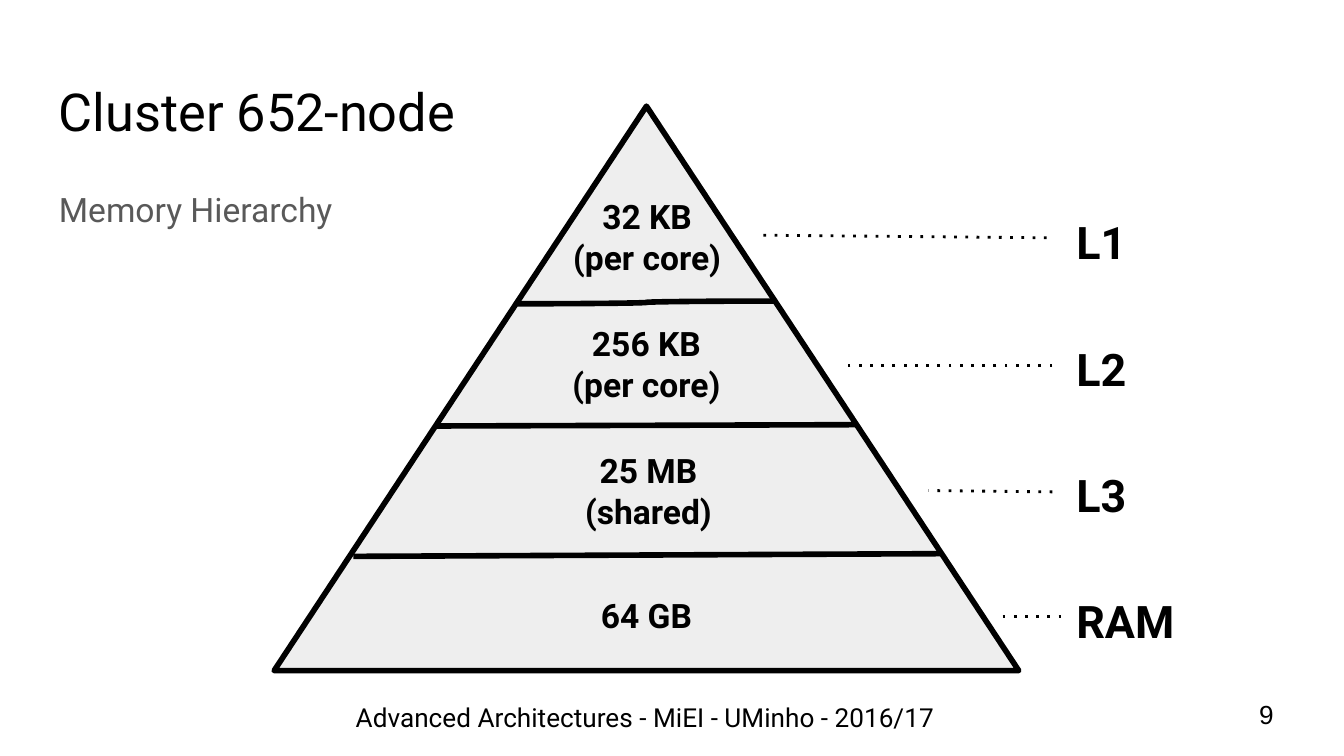
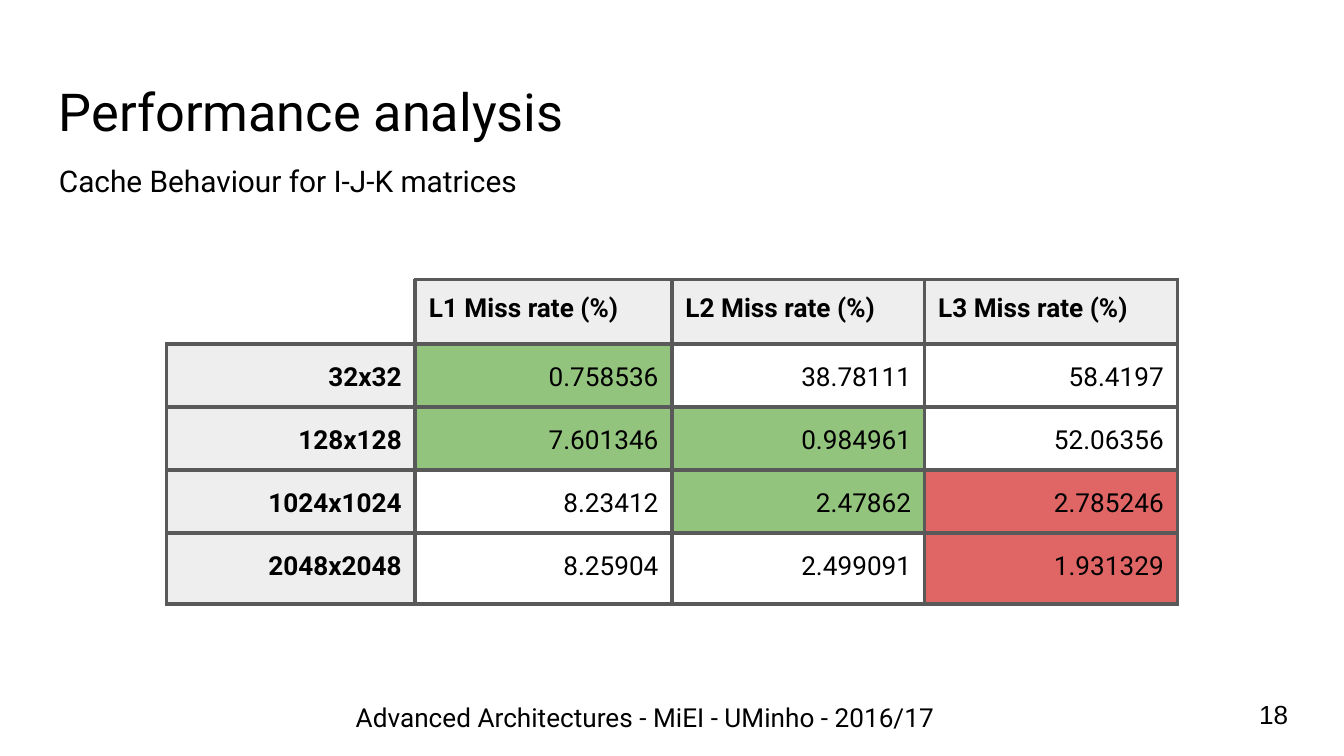
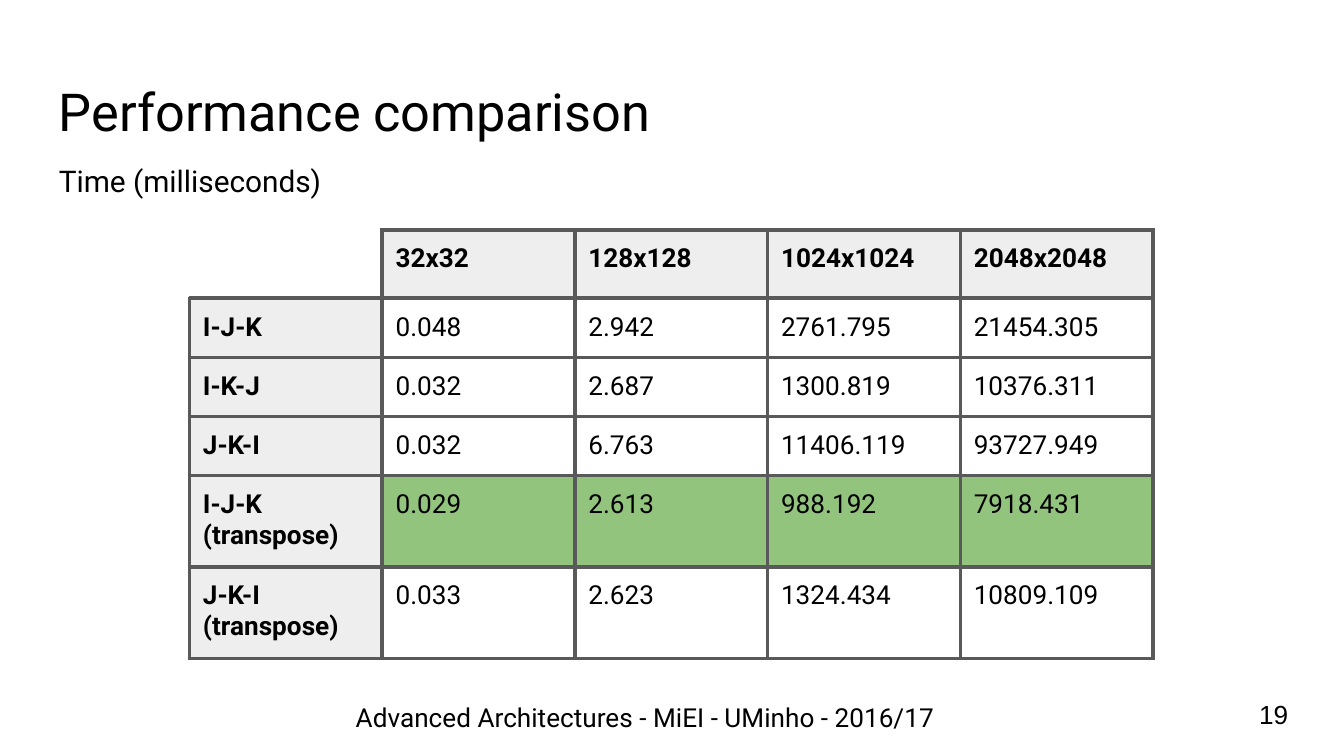
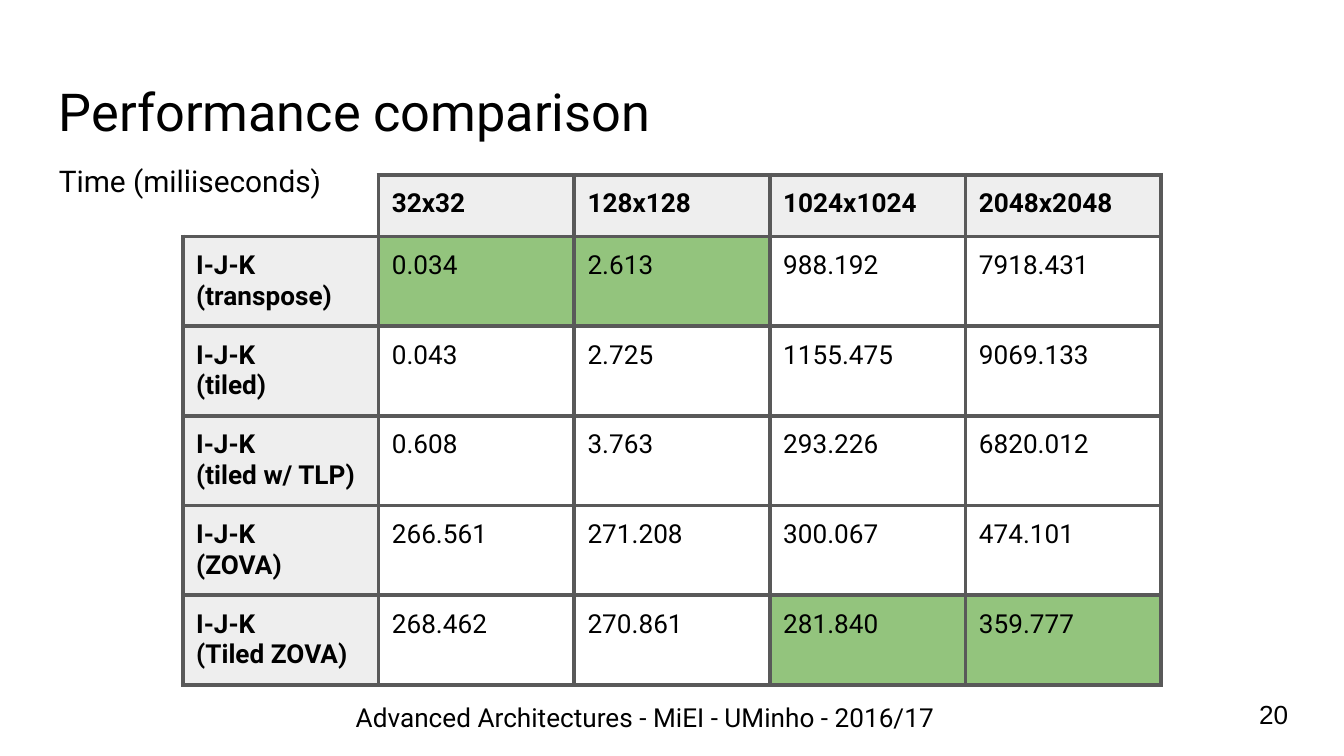
from lxml import etree
from pptx import Presentation, util as u
from pptx.dml.color import RGBColor
from pptx.enum import dml, shapes, text
from pptx.oxml.ns import qn

BLACK, GREY, PALE = "000000", "595959", "EEEEEE"
GREEN, RED = "93C47D", "E06666"
FOOTER = "Advanced Architectures - MiEI - UMinho - 2016/17"
LEFT, CENTER, RIGHT = text.PP_ALIGN.LEFT, text.PP_ALIGN.CENTER, text.PP_ALIGN.RIGHT
TOP, MIDDLE = text.MSO_ANCHOR.TOP, text.MSO_ANCHOR.MIDDLE
color = RGBColor.from_string

deck = Presentation()
deck.slide_width = u.Inches(10)
deck.slide_height = int(deck.slide_width * 9 / 16)
UNIT = deck.slide_width / 100
MARGIN = 3.4


def write(frame, words, size, hue=BLACK, bold=False, align=LEFT, font="Roboto", spacing=None):
    frame.text = words
    frame.word_wrap = True
    frame.margin_left = frame.margin_right = frame.margin_top = frame.margin_bottom = int(UNIT)
    for para in frame.paragraphs:
        para.alignment = align
        para.line_spacing = spacing
        para.font.name = font
        para.font.size = u.Pt(size)
        para.font.bold = bold
        para.font.color.rgb = color(hue)
    return frame


def connect(canvas, ends, width, kind=shapes.MSO_CONNECTOR.STRAIGHT):
    line = canvas.add_connector(kind, *[int(end * UNIT) for end in ends])
    line.line.color.rgb = color(BLACK)
    line.line.width = u.Pt(width)
    etree.SubElement(line._element.spPr, qn("a:effectLst"))
    return line


pages = []
for number, title, title_width, subtitle, subtitle_box, size, hue, spacing in [
    (9, "Cluster 652-node", 36.8, "Memory Hierarchy", (12.6, 23.5, 5.2), 18, GREY, 1.15),
    (18, "Performance analysis", 93.2, "Cache Behaviour for I-J-K matrices", (11.1, 40.1, 7.3), 16, BLACK, None),
    (19, "Performance comparison", 93.2, "Time (milliseconds)", (11.1, 24, 4.3), 16, BLACK, None),
    (20, "Performance comparison", 93.2, "Time (milliseconds)", (11.1, 24, 4.3), 16, BLACK, None),
]:
    page = deck.slides.add_slide(deck.slide_layouts[6])
    page.background.fill.solid()
    page.background.fill.fore_color.rgb = color("FFFFFF")
    pages.append(page)
    top, width, height = subtitle_box
    for place, words, style in [
        ((MARGIN, 51.2, 89.2, 4.3), FOOTER, dict(size=14, align=CENTER)),
        ((MARGIN, 4.9, title_width, 6.3), title, dict(size=28)),
        ((MARGIN, top, width, height), subtitle, dict(size=size, hue=hue, spacing=spacing)),
        ((92.7, 51, 6, 4.3), str(number), dict(size=14, font="Arial")),
    ]:
        box = page.shapes.add_textbox(*[int(side * UNIT) for side in place])
        write(box.text_frame, words, **style)
    box.text_frame.vertical_anchor = MIDDLE

hierarchy = pages[0].shapes
pyramid = hierarchy.add_group_shape().shapes
triangle = pyramid.add_shape(
    shapes.MSO_SHAPE.ISOSCELES_TRIANGLE, *[int(side * UNIT) for side in (20.4, 7.9, 55.4, 42)]
)
triangle.shadow.inherit = False
triangle.fill.solid()
triangle.fill.fore_color.rgb = color(PALE)
triangle.line.color.rgb = color(BLACK)
triangle.line.width = u.Pt(3)

connect(pyramid, (57.7, 22.4, 38.5, 22.6), 3, shapes.MSO_CONNECTOR.CURVE)
connect(pyramid, (63.8, 31.6, 32.5, 31.7), 3)
connect(pyramid, (70.1, 41.2, 26.3, 41.4), 3)

for place, words, anchor in [
    ((40.6, 11.9, 15.1, 11.4), "32 KB\n(per core)", MIDDLE),
    ((39.2, 23, 17.8, 8.1), "256 KB\n(per core)", MIDDLE),
    ((41.4, 31.9, 13.7, 9.2), "25 MB\n(shared)", MIDDLE),
    ((39.7, 43.3, 16.8, 4.6), "64 GB", TOP),
]:
    box = pyramid.add_textbox(*[int(side * UNIT) for side in place])
    write(box.text_frame, words, 18, bold=True, align=CENTER).vertical_anchor = anchor

for level, (name, width, ends) in enumerate([
    ("L1", 7, (56.8, 17.5, 78.3, 17.7)),
    ("L2", 7, (78.3, 27.2, 62.5, 27.2)),
    ("L3", 7, (78.3, 36.6, 69.1, 36.5)),
    ("RAM", 11.6, (74.6, 45.9, 79.1, 45.9)),
]):
    place = (79.1, 15 + 9.4 * level, width, 5.4)
    box = hierarchy.add_textbox(*[int(side * UNIT) for side in place])
    write(box.text_frame, name, 24, bold=True)
    leader = connect(hierarchy, ends, 1.5)
    leader.line.dash_style = dml.MSO_LINE.ROUND_DOT
    leader._element.find(".//" + qn("a:prstDash")).set("val", "dot")

SIZES = ["32x32", "128x128", "1024x1024", "2048x2048"]
tables = [
    (pages[1], (12.4, 20.8), [18.5, 19.1, 18.8, 18.8], [4.8, 4.3, 3.5, 4.3, 5.3], RIGHT, 1.15,
     {GREEN: [(1, 1), (2, 1), (2, 2), (3, 2)], RED: [(3, 3), (4, 3)]},
     [["", "L1 Miss rate (%)", "L2 Miss rate (%)", "L3 Miss rate (%)"],
      ["32x32", "0.758536", "38.78111", "58.4197"],
      ["128x128", "7.601346", "0.984961", "52.06356"],
      ["1024x1024", "8.23412", "2.47862", "2.785246"],
      ["2048x2048", "8.25904", "2.499091", "1.931329"]]),
    (pages[2], (14.1, 17.1), [14.34] * 5, [5.1] + [4.4] * 3 + [6.8] * 2, LEFT, None,
     {GREEN: [(4, column) for column in range(1, 5)]},
     [["", *SIZES],
      ["I-J-K", "0.048", "2.942", "2761.795", "21454.305"],
      ["I-K-J", "0.032", "2.687", "1300.819", "10376.311"],
      ["J-K-I", "0.032", "6.763", "11406.119", "93727.949"],
      ["I-J-K (transpose)", "0.029", "2.613", "988.192", "7918.431"],
      ["J-K-I (transpose)", "0.033", "2.623", "1324.434", "10809.109"]]),
    (pages[3], (13.6, 13), [14.56] * 5, [4.6] + [6.1] * 5, LEFT, None,
     {GREEN: [(1, 1), (1, 2), (5, 3), (5, 4)]},
     [["", *SIZES],
      ["I-J-K (transpose)", "0.034", "2.613", "988.192", "7918.431"],
      ["I-J-K\n(tiled)", "0.043", "2.725", "1155.475", "9069.133"],
      ["I-J-K\n(tiled w/ TLP)", "0.608", "3.763", "293.226", "6820.012"],
      ["I-J-K\n(ZOVA)", "266.561", "271.208", "300.067", "474.101"],
      ["I-J-K\n(Tiled ZOVA)", "268.462", "270.861", "281.840", "359.777"]]),
]

for page, corner, widths, heights, align, spacing, marks, values in tables:
    place = (*corner, sum(widths), sum(heights))
    table = page.shapes.add_table(
        len(heights), len(widths), *[int(side * UNIT) for side in place]
    ).table
    table.first_row = table.horz_banding = False
    for column, width in zip(table.columns, widths):
        column.width = int(width * UNIT)
    for row, height in zip(table.rows, heights):
        row.height = int(height * UNIT)
    fills = {spot: hue for hue, spots in marks.items() for spot in spots}
    for r, row in enumerate(values):
        for c, value in enumerate(row):
            cell = table.cell(r, c)
            header = r == 0 or c == 0
            write(cell.text_frame, value, 14, bold=header,
                  align=align if r else LEFT, spacing=spacing if r else None)
            cell.margin_left = cell.margin_right = cell.margin_top = cell.margin_bottom = int(UNIT)
            hue = fills.get((r, c), PALE if header else None)
            if hue and (r or c):
                cell.fill.solid()
                cell.fill.fore_color.rgb = color(hue)
            else:
                cell.fill.background()
            sides = ["a:lnL", "a:lnR", "a:lnT", "a:lnB"] if r or c else ["a:lnR", "a:lnB"]
            for order, side in enumerate(sides):
                border = etree.Element(qn(side), w=str(u.Pt(2.25)))
                paint = etree.SubElement(border, qn("a:solidFill"))
                etree.SubElement(paint, qn("a:srgbClr"), val=GREY)
                cell._tc.get_or_add_tcPr().insert(order, border)

deck.save("out.pptx")
